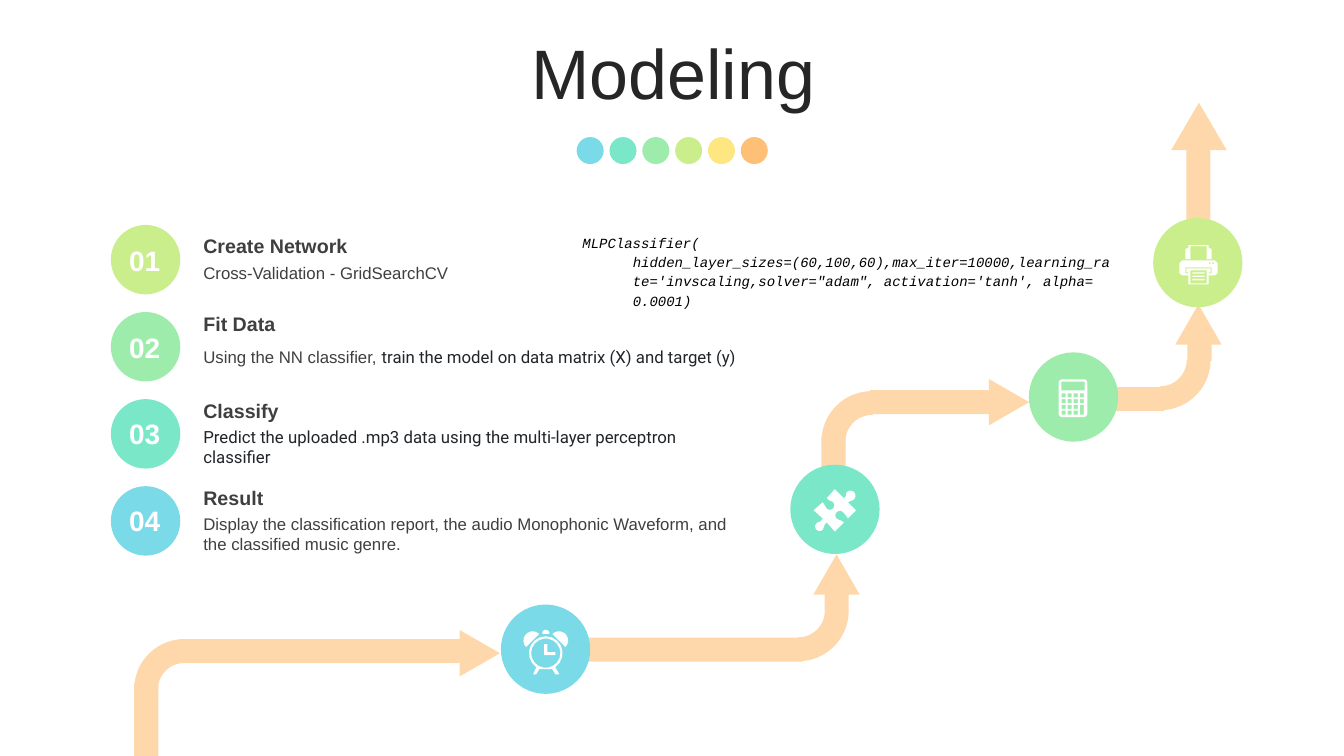
from math import cos, radians, sin

from pptx import Presentation
from pptx.dml.color import RGBColor
from pptx.enum.shapes import MSO_SHAPE
from pptx.enum.text import MSO_ANCHOR, PP_ALIGN
from pptx.util import Pt

BLUE = RGBColor(0x7A, 0xDA, 0xE8)
TEAL = RGBColor(0x7A, 0xE8, 0xC8)
GREEN = RGBColor(0x9E, 0xEC, 0xAC)
LIME = RGBColor(0xCA, 0xEE, 0x8C)
YELLOW = RGBColor(0xFE, 0xE6, 0x80)
ORANGE = RGBColor(0xFE, 0xC0, 0x76)
PEACH = RGBColor(0xFE, 0xD8, 0xAB)
WHITE = RGBColor(0xFF, 0xFF, 0xFF)
BLACK = RGBColor(0x00, 0x00, 0x00)
INK = RGBColor(0x26, 0x26, 0x26)
GRAY = RGBColor(0x3F, 0x3F, 0x3F)
SLATE = RGBColor(0x21, 0x25, 0x29)

TITLE = (50, "Arial", INK, False, False)
HEADING = (14, "Arial", GRAY, True, False)
BODY = (12, "Arial", GRAY, False, False)
BODY_ROBOTO = (12, "Roboto", SLATE, False, False)
CODE = (10, "Courier New", BLACK, False, True)
NUMBER = (20, "Arial", WHITE, True, False)

ROAD_WIDTH = 17.3
ICON_UNIT = 72


def arc(cx, cy, radius, start, end):
    count = max(2, abs(end - start) // 20)
    angles = [radians(start + (end - start) * i / count) for i in range(count + 1)]
    return [(cx + radius * cos(a), cy + radius * sin(a)) for a in angles]


def box(x, y, w, h):
    return [(x, y), (x + w, y), (x + w, y + h), (x, y + h)]


prs = Presentation()
prs.slide_width, prs.slide_height = Pt(960), Pt(540)
slide = prs.slides.add_slide(prs.slide_layouts[6])

pieces = []
for i, color in enumerate((BLUE, TEAL, GREEN, LIME, YELLOW, ORANGE)):
    pieces.append((MSO_SHAPE.OVAL, 411.9 + 23.45 * i, 97.9, 19.3, 19.3, 0, color))

beams = [
    (586.8, 312.5, 22.3, 0), (659.5, 240.5, 93.6, 90), (487.4, 387.4, 153.4, 90),
    (589, 416.2, 20.2, 0), (847.4, 105.8, 64.1, 0), (95.8, 488.9, 51.1, 0),
    (221, 365.8, 198.7, 90), (803.5, 265.7, 38.9, 90), (848.2, 237.6, 20.2, 0),
]
for x, y, length, turn in beams:
    pieces.append((MSO_SHAPE.RECTANGLE, x, y, ROAD_WIDTH, length, turn, PEACH))

for x, y, turn in [(586.8, 279.4, 0), (534.2, 400.3, 180), (95.8, 456.5, 0), (792.7, 221, 180)]:
    pieces.append((MSO_SHAPE.BLOCK_ARC, x, y, 72, 72, turn, PEACH))

arrowheads = [
    (704.2, 272.9, 33.1, 28.8, 90), (581, 396, 33.1, 28.8, 0), (836.6, 73.4, 39.6, 33.8, 0),
    (326.2, 452.2, 33.1, 28.8, 90), (839.5, 217.4, 33.1, 28.8, 0),
]
for x, y, w, h, turn in arrowheads:
    pieces.append((MSO_SHAPE.ISOSCELES_TRIANGLE, x, y, w, h, turn, PEACH))

for i, color in enumerate((LIME, GREEN, TEAL, BLUE)):
    pieces.append((MSO_SHAPE.OVAL, 79.2, 160.7 + 62.2 * i, 49.6, 49.6, 0, color))

for x, y, color in [(357.8, 431.8, BLUE), (564.5, 331.9, TEAL),
                    (734.9, 251.7, GREEN), (823.7, 155.7, LIME)]:
    pieces.append((MSO_SHAPE.OVAL, x, y, 63.8, 63.8, 0, color))

for kind, x, y, w, h, turn, color in pieces:
    piece = slide.shapes.add_shape(kind, Pt(x), Pt(y), Pt(w), Pt(h))
    piece.rotation = turn
    piece.shadow.inherit = False
    piece.fill.solid()
    piece.fill.fore_color.rgb = color
    piece.line.fill.background()
    if kind == MSO_SHAPE.BLOCK_ARC:
        for i, value in enumerate((108, 162.854, 0.237)):
            piece.adjustments[i] = value

alarm_clock = [
    arc(21.5, 23, 16.7, 124, 416) + [(35, 44), (31, 44), (28, 39), (15, 39), (12, 44), (9, 44)],
    arc(21.5, 23, 14.5, 0, 360),
    [(20, 14), (23, 14), (23, 22), (31, 22), (31, 25), (20, 25)],
    arc(8.5, 10.5, 9.2, 135, 315),
    arc(34.5, 10.5, 9.2, 225, 405),
    [(18, 4), (18, 2), (20, 0), (23, 0), (25, 2), (25, 4)],
]
calculator = [
    [(0, 3), (1, 1), (3, 0), (25.5, 0), (27.5, 1), (28.5, 3),
     (28.5, 34.5), (27.5, 36.5), (25.5, 37.5), (3, 37.5), (1, 36.5), (0, 34.5)],
    box(2.8, 2.3, 23, 8.8),
    box(21, 25.3, 4, 9.7),
]
for row in range(4):
    for column in range(4 if row < 2 else 3):
        calculator.append(box(3 + 6 * column, 14 + 5.7 * row, 4, 4))
printer = [
    [(0, 18), (3, 15), (35, 15), (38, 18), (38, 28), (35, 30), (29, 30), (29, 39),
     (9, 39), (9, 30), (3, 30), (0, 28)],
    [(6, 22), (6, 28), (9, 28), (9, 27), (7, 27), (7, 23), (31, 23), (31, 27),
     (29, 27), (29, 28), (32, 28), (32, 22)],
    box(11, 25, 16, 13),
    *[box(13, y, 12, 1.3) for y in (27, 30.3, 33.6)],
    *[box(x, 17.2, 1.6, 1.6) for x in (29.2, 32.7)],
    [(9, 0), (29, 0), (29, 3), (30, 3), (32, 4), (32, 14), (27, 14), (27, 1),
     (11, 1), (11, 14), (6, 14), (6, 4), (8, 3), (9, 3)],
]
puzzle_piece = [
    [(30, 9), (32, 7)] + arc(36.5, 6.5, 5, 215, 415)
    + [(34, 13), (42, 21), (34, 29), (32, 26)] + arc(26, 26, 4.5, 315, 115)
    + [(27, 31), (30, 33), (21, 42), (13, 33), (11, 35)] + arc(6, 37, 4.5, 45, 235)
    + [(7, 32), (9, 29), (0, 21), (9, 13), (11, 16)] + arc(16, 16, 4.5, 135, -65)
    + [(15, 11), (13, 9), (21, 0)],
]
icons = [
    (374.4, 450, alarm_clock), (756.2, 270.9, calculator),
    (842.4, 175.1, printer), (581.2, 349.4, puzzle_piece),
]
for x, y, contours in icons:
    builder = None
    for contour in contours:
        points = [(px * ICON_UNIT, py * ICON_UNIT) for px, py in contour]
        if builder is None:
            builder = slide.shapes.build_freeform(*points[0], scale=Pt(0.01))
        else:
            builder.move_to(*points[0])
        builder.add_line_segments(points[1:], close=True)
    icon = builder.convert_to_shape(Pt(x), Pt(y))
    icon.shadow.inherit = False
    icon.fill.solid()
    icon.fill.fore_color.rgb = WHITE
    icon.line.fill.background()

steps = [
    ("Create Network", 163.4, 184.3, 396, 21.6, [("Cross-Validation - GridSearchCV", BODY)]),
    ("Fit Data", 219.6, 244.1, 405.4, 21.6,
     [("Using the NN classifier, ", BODY),
      ("train the model on data matrix (X) and target (y)", BODY_ROBOTO)]),
    ("Classify", 281.5, 301, 396, 36,
     [("Predict the uploaded .mp3 data using the multi-layer perceptron classifier", BODY_ROBOTO)]),
    ("Result", 343.4, 363.6, 396, 51.1,
     [("Display the classification report, the audio Monophonic Waveform, "
       "and the classified music genre.", BODY)]),
]
classifier_call = [
    (0, [("MLPClassifier(", CODE)]),
    (36, [("hidden_layer_sizes=(60,100,60),max_iter=10000,learning_rate='invscaling,"
           "solver=\"adam\", activation='tanh', alpha= 0.0001)", CODE)]),
]
texts = [
    (25.2, 26.6, 911.5, 56.9, PP_ALIGN.CENTER, 0.9, [(0, [("Modeling", TITLE)])]),
    (409, 162, 396, 61.2, PP_ALIGN.LEFT, 1.15, classifier_call),
]
for i, (heading, heading_y, detail_y, w, h, detail) in enumerate(steps):
    texts += [
        (138.2, heading_y, w, 24.5, PP_ALIGN.LEFT, 1, [(0, [(heading, HEADING)])]),
        (138.2, detail_y, w, h, PP_ALIGN.LEFT, 1, [(0, detail)]),
        (85, 169.9 + 62 * i, 36.7, 31.7, PP_ALIGN.CENTER, 1, [(0, [(f"{i + 1:02}", NUMBER)])]),
    ]

for x, y, w, h, align, spacing, paragraphs in texts:
    frame = slide.shapes.add_textbox(Pt(x), Pt(y), Pt(w), Pt(h)).text_frame
    frame.word_wrap = True
    if align == PP_ALIGN.CENTER:
        frame.margin_left = frame.margin_right = Pt(0)
        frame.vertical_anchor = MSO_ANCHOR.MIDDLE
    for i, (indent, runs) in enumerate(paragraphs):
        paragraph = frame.add_paragraph() if i else frame.paragraphs[0]
        paragraph.alignment = align
        paragraph.line_spacing = spacing
        if indent:
            paragraph._p.get_or_add_pPr().set("marL", str(Pt(indent)))
        for words, (size, face, color, bold, italic) in runs:
            run = paragraph.add_run()
            run.text = words
            run.font.size = Pt(size)
            run.font.name = face
            run.font.color.rgb = color
            run.font.bold = bold
            run.font.italic = italic

prs.save("out.pptx")
